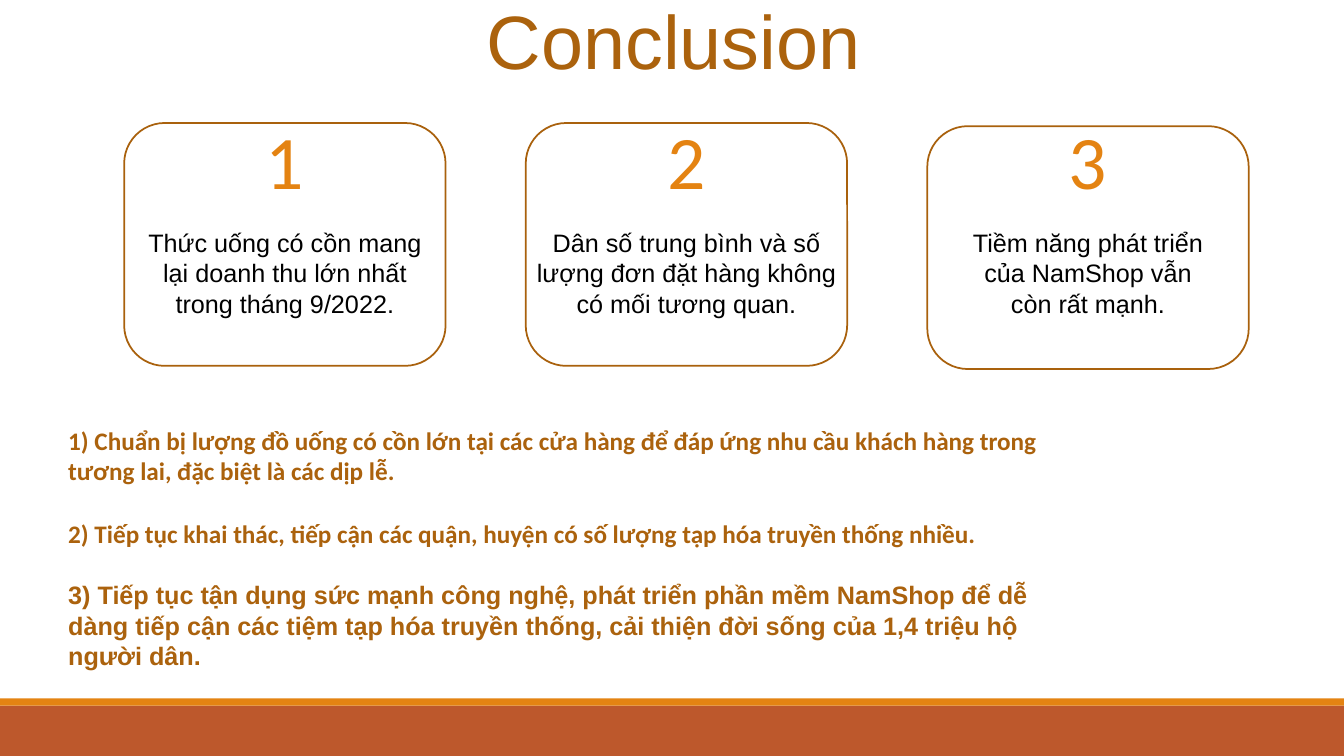
"""Build the conclusion slide: three finding cards above three recommendations."""
from pptx import Presentation
from pptx.dml.color import RGBColor
from pptx.enum.shapes import MSO_SHAPE
from pptx.enum.text import PP_ALIGN
from pptx.util import Cm, Pt

ORANGE = RGBColor(0xE4, 0x83, 0x12)
RUST = RGBColor(0xBD, 0x58, 0x2C)
BROWN = RGBColor(0xAB, 0x62, 0x0D)
OUTLINE = RGBColor(0xA9, 0x61, 0x0D)
BLACK = RGBColor(0, 0, 0)

TITLE = "Conclusion"
FINDINGS = [
    {"text": "Thức uống có cồn mang lại doanh thu lớn nhất trong tháng 9/2022.",
     "width": 7.39, "card_top": 3.1},
    {"text": "Dân số trung bình và số lượng đơn đặt hàng không có mối tương quan.",
     "width": 8.1, "card_top": 3.1},
    {"text": "Tiềm năng phát triển của NamShop vẫn còn rất mạnh.",
     "width": 6.73, "card_top": 3.18},
]
RECOMMENDATIONS = [
    {"text": "1) Chuẩn bị lượng đồ uống có cồn lớn tại các cửa hàng để đáp ứng nhu cầu "
             "khách hàng trong tương lai, đặc biệt là các dịp lễ.",
     "area": (1.47, 10.59, 25.88, 1.8), "font": "Calibri"},
    {"text": "2) Tiếp tục khai thác, tiếp cận các quận, huyện có số lượng tạp hóa "
             "truyền thống nhiều.",
     "area": (1.47, 12.93, 25.2, 1.02), "font": "Calibri"},
    {"text": "3) Tiếp tục tận dụng sức mạnh công nghệ, phát triển phần mềm NamShop để dễ "
             "dàng tiếp cận các tiệm tạp hóa truyền thống, cải thiện đời sống của "
             "1,4 triệu hộ người dân.",
     "area": (1.47, 14.48, 25.2, 2.57), "font": "Arial"},
]
BANDS = [((0, 17.78, 33.87, 1.27), RUST), ((0, 17.6, 33.87, 0.18), ORANGE)]

CARD_WIDTH, CARD_HEIGHT = 8.1, 6.12
FIRST_CENTER, CARD_PITCH = 7.18, 10.12
NUMBER_WIDTH = 1.5


def add_text(page, text, area, *, font="Arial", size=18, color=BLACK, bold=False,
             align=PP_ALIGN.LEFT, wrap=True):
    box = page.shapes.add_textbox(*map(Cm, area))
    box.text_frame.word_wrap = wrap
    para = box.text_frame.paragraphs[0]
    para.alignment = align
    span = para.add_run()
    span.text = text
    span.font.name = font
    span.font.size = Pt(size)
    span.font.bold = bold
    span.font.color.rgb = color


def add_box(page, preset, area, *, fill=None, line=None):
    box = page.shapes.add_shape(preset, *map(Cm, area))
    box.shadow.inherit = False
    if fill is None:
        box.fill.background()
    else:
        box.fill.solid()
        box.fill.fore_color.rgb = fill
    if line is None:
        box.line.fill.background()
    else:
        box.line.color.rgb = line
        box.line.width = Pt(1.25)


def main():
    deck = Presentation()
    deck.slide_width, deck.slide_height = Cm(33.87), Cm(19.05)
    page = deck.slides.add_slide(deck.slide_layouts[6])

    for area, fill in BANDS:
        add_box(page, MSO_SHAPE.RECTANGLE, area, fill=fill)

    add_text(page, TITLE, (11.91, -0.28, 10.03, 2.57), size=54, color=BROWN,
             align=PP_ALIGN.RIGHT, wrap=False)

    for index, finding in enumerate(FINDINGS):
        center = FIRST_CENTER + index * CARD_PITCH
        width = finding["width"]
        add_text(page, finding["text"], (center - width / 2, 5.61, width, 2.57),
                 align=PP_ALIGN.CENTER)
        add_text(page, str(index + 1),
                 (center - NUMBER_WIDTH / 2, 2.74, NUMBER_WIDTH, 2.57),
                 font="Calibri", size=54, color=ORANGE, align=PP_ALIGN.CENTER, wrap=False)
        add_box(page, MSO_SHAPE.ROUNDED_RECTANGLE,
                (center - CARD_WIDTH / 2, finding["card_top"], CARD_WIDTH, CARD_HEIGHT),
                line=OUTLINE)

    for advice in RECOMMENDATIONS:
        add_text(page, advice["text"], advice["area"], font=advice["font"],
                 color=BROWN, bold=True)

    deck.save("out.pptx")


if __name__ == "__main__":
    main()
